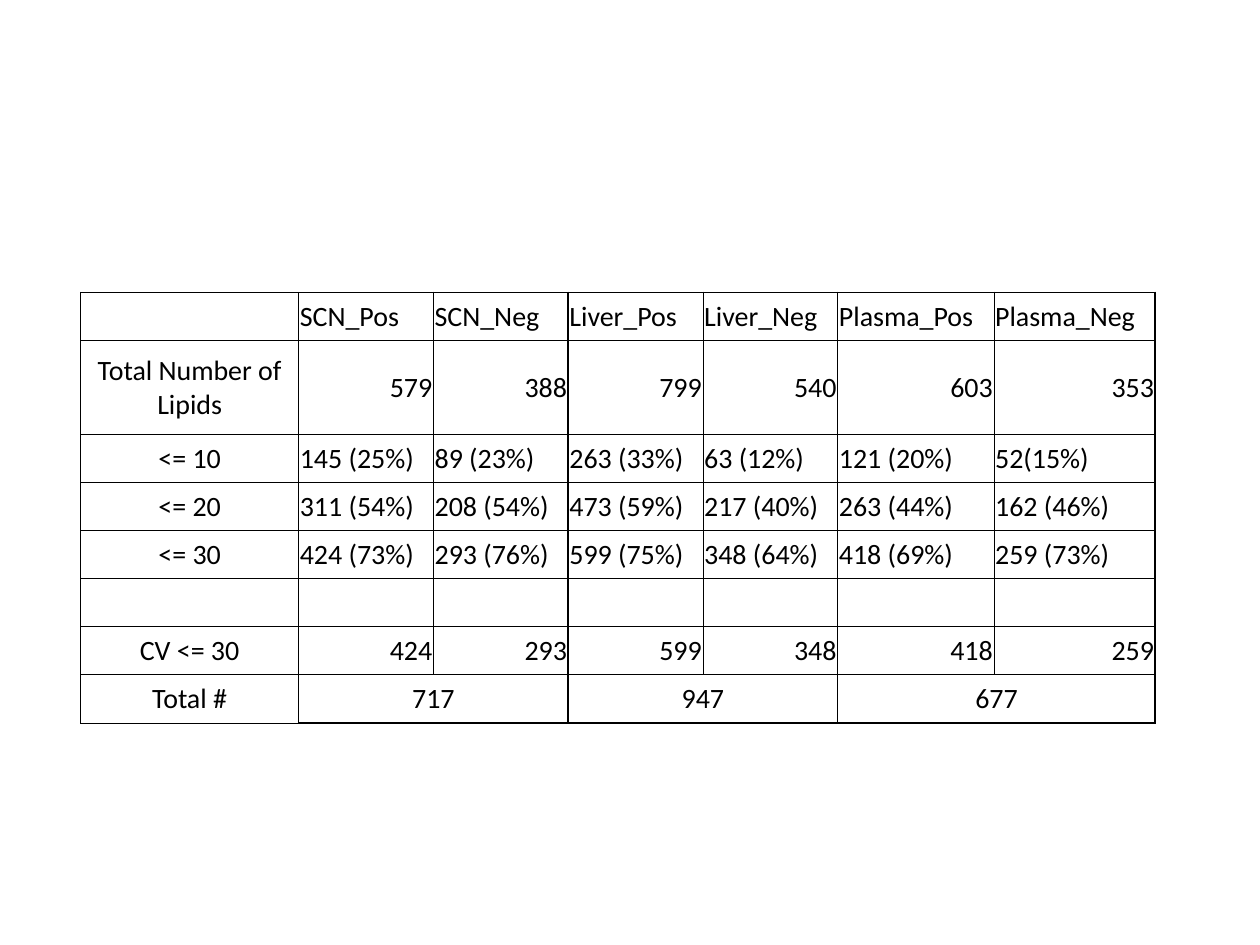
from pptx import Presentation
from pptx import util as u
from pptx.dml import color
from pptx.enum import text
from pptx.oxml import ns
from lxml import etree

SLIDE_SIZE = (10, 7.5)
TABLE_ORIGIN = (0.64, 2.32)
COLUMN_WIDTHS = [1.73] + [1.07] * 4 + [1.24, 1.28]
ROW_HEIGHTS = [0.38, 0.75] + [0.38] * 5 + [0.39]
BLACK = "000000"
THIN, THICK = 0.5, 1

LIPID_ROWS = [
    ["", "SCN_Pos", "SCN_Neg", "Liver_Pos", "Liver_Neg", "Plasma_Pos", "Plasma_Neg"],
    ["Total Number of Lipids", "579", "388", "799", "540", "603", "353"],
    ["<= 10", "145 (25%)", "89 (23%)", "263 (33%)", "63 (12%)", "121 (20%)", "52(15%)"],
    ["<= 20", "311 (54%)", "208 (54%)", "473 (59%)", "217 (40%)", "263 (44%)", "162 (46%)"],
    ["<= 30", "424 (73%)", "293 (76%)", "599 (75%)", "348 (64%)", "418 (69%)", "259 (73%)"],
    [""] * 7,
    ["CV <= 30", "424", "293", "599", "348", "418", "259"],
    ["Total #", "717", "", "947", "", "677", ""],
]
LAST_ROW = len(LIPID_ROWS) - 1


def rgb(value):
    """Return a colour from a hex string."""
    return color.RGBColor.from_string(value)


def set_attributes(target, values):
    """Set each named attribute of target."""
    for name, value in values.items():
        setattr(target, name, value)


def border_widths(row, column):
    """Return line widths that frame each pair of Pos and Neg columns."""
    opens_pair = column % 2 == 1
    is_total = row == LAST_ROW and column > 0
    return {
        "L": THICK if opens_pair else THIN,
        "R": THIN if opens_pair and not is_total else THICK,
        "T": THICK if row == 0 and column > 0 else THIN,
        "B": THICK if is_total else THIN,
    }


def add_borders(cell, widths):
    """Draw solid black lines around a cell."""
    properties = cell._tc.get_or_add_tcPr()
    for side, width in widths.items():
        line = etree.SubElement(properties, ns.qn(f"a:ln{side}"), w=str(u.Pt(width)))
        fill = etree.SubElement(line, ns.qn("a:solidFill"))
        etree.SubElement(fill, ns.qn("a:srgbClr"), val=BLACK)


def alignment(content, row, column):
    """Centre labels and totals, right-align numbers, left-align the rest."""
    if column == 0 or row == LAST_ROW:
        return text.PP_ALIGN.CENTER
    return text.PP_ALIGN.RIGHT if content.isdigit() else text.PP_ALIGN.LEFT


def format_cell(cell, content, row, column):
    """Give a cell its borders, margins and text."""
    add_borders(cell, border_widths(row, column))
    cell.fill.background()
    margin = u.Inches(0.01)
    set_attributes(cell, {
        "margin_left": margin, "margin_right": margin, "margin_top": margin,
        "margin_bottom": 0, "vertical_anchor": text.MSO_ANCHOR.MIDDLE,
    })
    if content:
        paragraph = cell.text_frame.paragraphs[0]
        paragraph.alignment = alignment(content, row, column)
        run = paragraph.add_run()
        run.text = content
        set_attributes(run.font, {"name": "Calibri", "size": u.Pt(16), "bold": False})
        run.font.color.rgb = rgb(BLACK)


def add_lipid_table(slide):
    """Add the table of lipid counts with its merged totals."""
    size = (sum(COLUMN_WIDTHS), sum(ROW_HEIGHTS))
    frame = slide.shapes.add_table(
        len(ROW_HEIGHTS), len(COLUMN_WIDTHS), *map(u.Inches, TABLE_ORIGIN + size))
    table = frame.table
    set_attributes(table, {"first_row": False, "horz_banding": False})
    for column, width in zip(table.columns, COLUMN_WIDTHS):
        column.width = u.Inches(width)
    for row, height in zip(table.rows, ROW_HEIGHTS):
        row.height = u.Inches(height)
    for row, contents in enumerate(LIPID_ROWS):
        for column, content in enumerate(contents):
            format_cell(table.cell(row, column), content, row, column)
    for column in range(1, len(COLUMN_WIDTHS), 2):
        table.cell(LAST_ROW, column).merge(table.cell(LAST_ROW, column + 1))


def main():
    """Build and save the slide."""
    presentation = Presentation()
    width, height = map(u.Inches, SLIDE_SIZE)
    set_attributes(presentation, {"slide_width": width, "slide_height": height})
    slide = presentation.slides.add_slide(presentation.slide_layouts[6])
    add_lipid_table(slide)
    presentation.save("out.pptx")


main()
